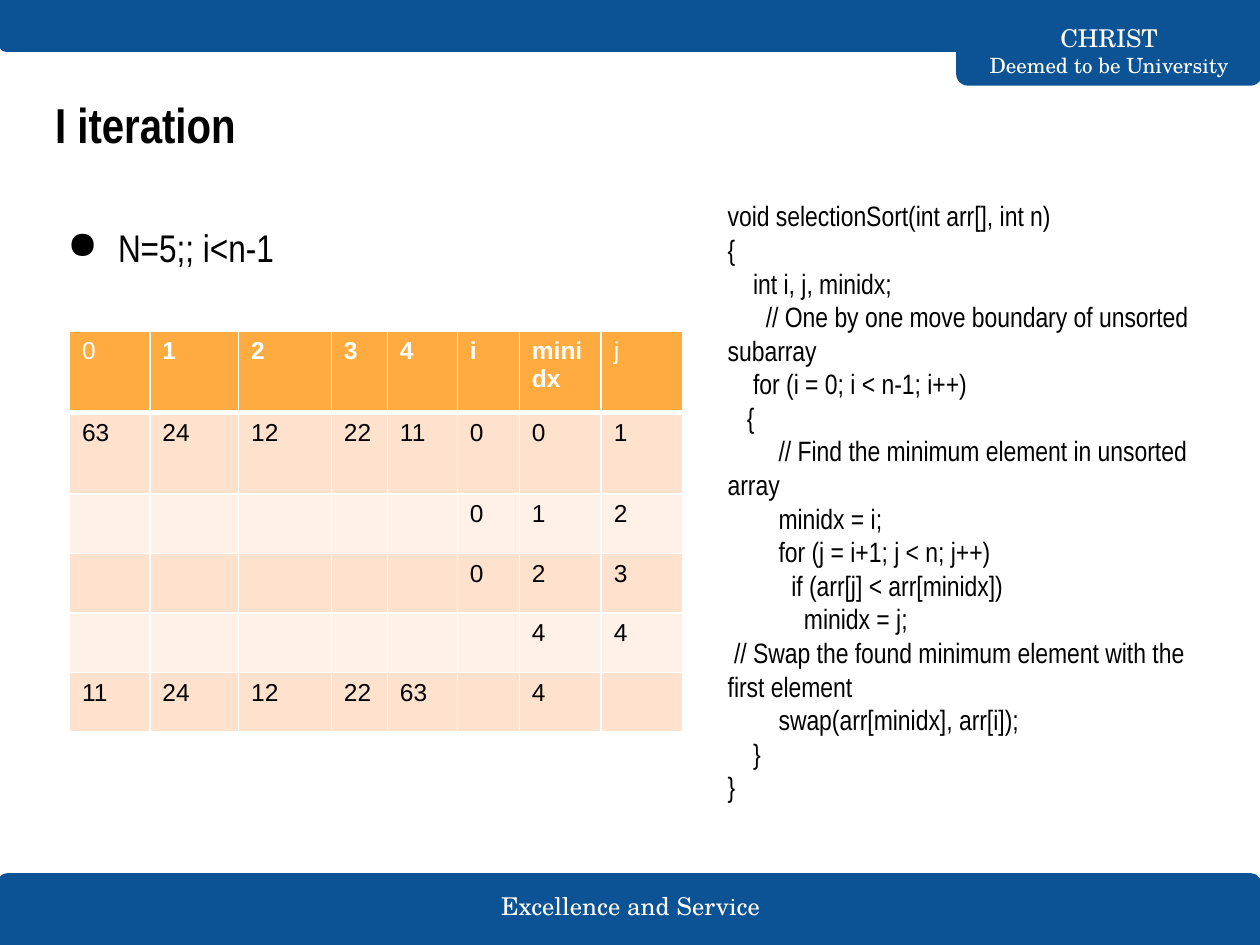
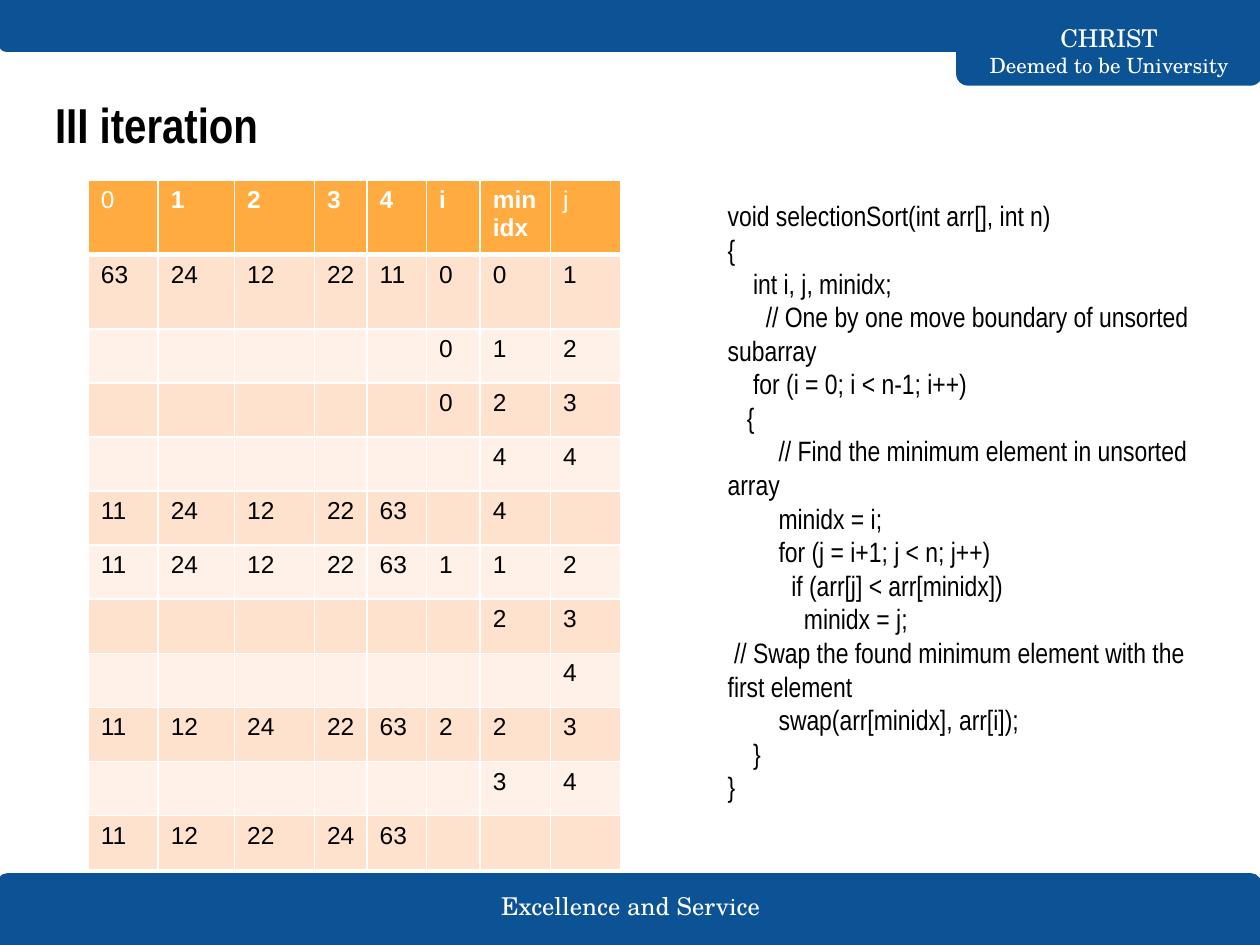
import dataclasses

import lxml.etree
import pptx
import pptx.dml.color
import pptx.enum.shapes
import pptx.enum.text
import pptx.oxml.ns
import pptx.util

Cm = pptx.util.Cm
Pt = pptx.util.Pt
RGB = pptx.dml.color.RGBColor.from_string
qn = pptx.oxml.ns.qn
ALIGN = pptx.enum.text.PP_ALIGN
ANCHOR = pptx.enum.text.MSO_ANCHOR


@dataclasses.dataclass(frozen=True)
class Theme:
    blue: str = "0B5394"
    white: str = "FFFFFF"
    black: str = "000000"
    header: str = "FFAB40"
    stripes: tuple = ("FFF1E8", "FFE2CD")
    narrow: str = "Arial Narrow"
    sans: str = "Arial"
    serif: str = "TeX Gyre Schola"
    title: int = 28
    bullet: int = 22
    code: int = 16
    table: int = 14
    band: int = 14
    band_small: int = 12


theme = Theme()

CODE = """void selectionSort(int arr[], int n)
{
    int i, j, minidx;
      // One by one move boundary of unsorted subarray
    for (i = 0; i < n-1; i++)
   {
        // Find the minimum element in unsorted array
        minidx = i;
        for (j = i+1; j < n; j++)
          if (arr[j] < arr[minidx])
            minidx = j;
 // Swap the found minimum element with the first element
        swap(arr[minidx], arr[i]);
    }
}"""

HEADINGS = ["0", "1", "2", "3", "4", "i", "minidx", "j"]
LIGHT_HEADINGS = ("0", "j")
FIRST_PASS = [
    ["63", "24", "12", "22", "11", "0", "0", "1"],
    ["", "", "", "", "", "0", "1", "2"],
    ["", "", "", "", "", "0", "2", "3"],
    ["", "", "", "", "", "", "4", "4"],
    ["11", "24", "12", "22", "63", "", "4", ""],
]
LATER_PASSES = [
    ["11", "24", "12", "22", "63", "1", "1", "2"],
    ["", "", "", "", "", "", "2", "3"],
    ["", "", "", "", "", "", "", "4"],
    ["11", "12", "24", "22", "63", "2", "2", "3"],
    ["", "", "", "", "", "", "3", "4"],
    ["11", "12", "22", "24", "63", "", "", ""],
]

# tall is the height of the header and first row, short that of the others
SLIDES = [
    {
        "title": "I iteration",
        "bullet": "N=5;; i<n-1",
        "corner": (1.4, 6.68),
        "widths": [1.62, 1.79, 1.87, 1.13, 1.41, 1.25, 1.65, 1.65],
        "tall": 1.64,
        "short": 1.2,
        "rows": FIRST_PASS,
    },
    {
        "title": "III iteration",
        "bullet": None,
        "corner": (1.78, 3.63),
        "widths": [1.41, 1.54, 1.61, 1.06, 1.2, 1.08, 1.42, 1.42],
        "tall": 1.5,
        "short": 1.09,
        "rows": FIRST_PASS + LATER_PASSES,
    },
]


def write(box, place, text, size, font, colour, align=ALIGN.LEFT,
          anchor=ANCHOR.TOP, bold=False, margin=0, hanging=0, bullet=None):
    """Place a box and fill it with text in one style."""
    box.left, box.top, box.width, box.height = [Cm(length) for length in place]
    frame = box.text_frame
    frame.word_wrap = True
    frame.auto_size = pptx.enum.text.MSO_AUTO_SIZE.NONE
    frame.vertical_anchor = anchor
    frame.margin_left = frame.margin_right = Cm(0.25)
    frame.margin_top = frame.margin_bottom = Cm(0.25)
    frame.text = text
    for para in frame.paragraphs:
        para.alignment = align
        properties = para._p.get_or_add_pPr()
        properties.set("marL", str(Cm(margin)))
        properties.set("indent", str(Cm(-hanging)))
        if bullet:
            bullet_colour = lxml.etree.SubElement(properties, qn("a:buClr"))
            lxml.etree.SubElement(bullet_colour, qn("a:srgbClr"), val=colour)
            lxml.etree.SubElement(properties, qn("a:buChar"), char=bullet)
        for span in para.runs:
            span.font.size = Pt(size)
            span.font.name = font
            span.font.bold = bold
            span.font.color.rgb = RGB(colour)


def set_borders(cell, top, bottom):
    """Give a cell white borders: 1 pt at the sides, the given points elsewhere."""
    properties = cell._tc.get_or_add_tcPr()
    sides = {"a:lnL": 1, "a:lnR": 1, "a:lnT": top, "a:lnB": bottom}
    for position, (tag, points) in enumerate(sides.items()):
        line = lxml.etree.Element(qn(tag), w=str(Pt(points)))
        fill = lxml.etree.SubElement(line, qn("a:solidFill"))
        lxml.etree.SubElement(fill, qn("a:srgbClr"), val=theme.white)
        properties.insert(position, line)


deck = pptx.Presentation()
deck.slide_width, deck.slide_height = Cm(25.4), Cm(19.05)
layout = deck.slide_layouts.get_by_name("Title Only")
for placeholder in list(layout.placeholders):
    if placeholder.placeholder_format.type != pptx.enum.shapes.PP_PLACEHOLDER.TITLE:
        layout.shapes.element.remove(placeholder.element)
pages = [deck.slides.add_slide(layout) for slide in SLIDES]

# Bands are drawn on the first page, then moved to the layout both pages share
shapes = pages[0].shapes
band_parts = []
for left, top, width, height, turn in [
    (-0.03, 17.63, 25.43, 1.42, 0),
    (19.3, 0, 6.12, 1.7, 180),
    (0, 0, 25.43, 1.02, 180),
]:
    band = shapes.add_shape(
        pptx.enum.shapes.MSO_SHAPE.ROUND_2_SAME_RECTANGLE,
        Cm(left), Cm(top), Cm(width), Cm(height))
    band.adjustments[0], band.adjustments[1] = 0.125, 0
    band.rotation = turn
    band.shadow.inherit = False
    band.fill.solid()
    band.fill.fore_color.rgb = RGB(theme.blue)
    band.line.color.rgb = RGB(theme.blue)
    band.line.width = Pt(1.5)
    band_parts.append(band)
for place, text in [
    ((9.3, 17.86, 6.83, 0.81), "Excellence and Service"),
    ((19.3, 0.69, 6.12, 0.64), "CHRIST\vDeemed to be University"),
]:
    label = shapes.add_textbox(0, 0, 0, 0)
    write(label, place, text, theme.band, theme.serif, theme.white,
          ALIGN.CENTER, ANCHOR.MIDDLE)
    for span in label.text_frame.paragraphs[0].runs[1:]:
        span.font.size = Pt(theme.band_small)
    band_parts.append(label)
for part in band_parts:
    layout.shapes.element.append(part.element)

for page, slide in zip(pages, SLIDES):
    write(page.shapes.title, (0.86, 1.65, 23.67, 2.11), slide["title"],
          theme.title, theme.narrow, theme.black, bold=True)

    if slide["bullet"]:
        write(page.shapes.add_textbox(0, 0, 0, 0), (0.86, 4.27, 23.67, 12.65),
              slide["bullet"], theme.bullet, theme.narrow, theme.black,
              margin=1.27, hanging=1.02, bullet="●")

    rows = [HEADINGS] + slide["rows"]
    heights = [slide["tall"]] * 2 + [slide["short"]] * (len(rows) - 2)
    left, top = slide["corner"]
    table = page.shapes.add_table(
        len(rows), len(HEADINGS), Cm(left), Cm(top),
        Cm(sum(slide["widths"])), Cm(sum(heights))).table
    for column, width in zip(table.columns, slide["widths"]):
        column.width = Cm(width)
    for number, values in enumerate(rows):
        table.rows[number].height = Cm(heights[number])
        is_header = number == 0
        for column, value in enumerate(values):
            cell = table.cell(number, column)
            cell.fill.solid()
            cell.fill.fore_color.rgb = RGB(
                theme.header if is_header else theme.stripes[number % 2])
            set_borders(cell, 3 if number == 1 else 1, 3 if is_header else 1)
            cell.text = value
            for span in cell.text_frame.paragraphs[0].runs:
                span.font.size = Pt(theme.table)
                span.font.name = theme.sans
                span.font.bold = is_header and value not in LIGHT_HEADINGS
                span.font.color.rgb = RGB(theme.white if is_header else theme.black)

    write(page.shapes.add_textbox(0, 0, 0, 0), (14.17, 3.76, 10.36, 14.73),
          CODE, theme.code, theme.narrow, theme.black, margin=0.25)

deck.save("out.pptx")
